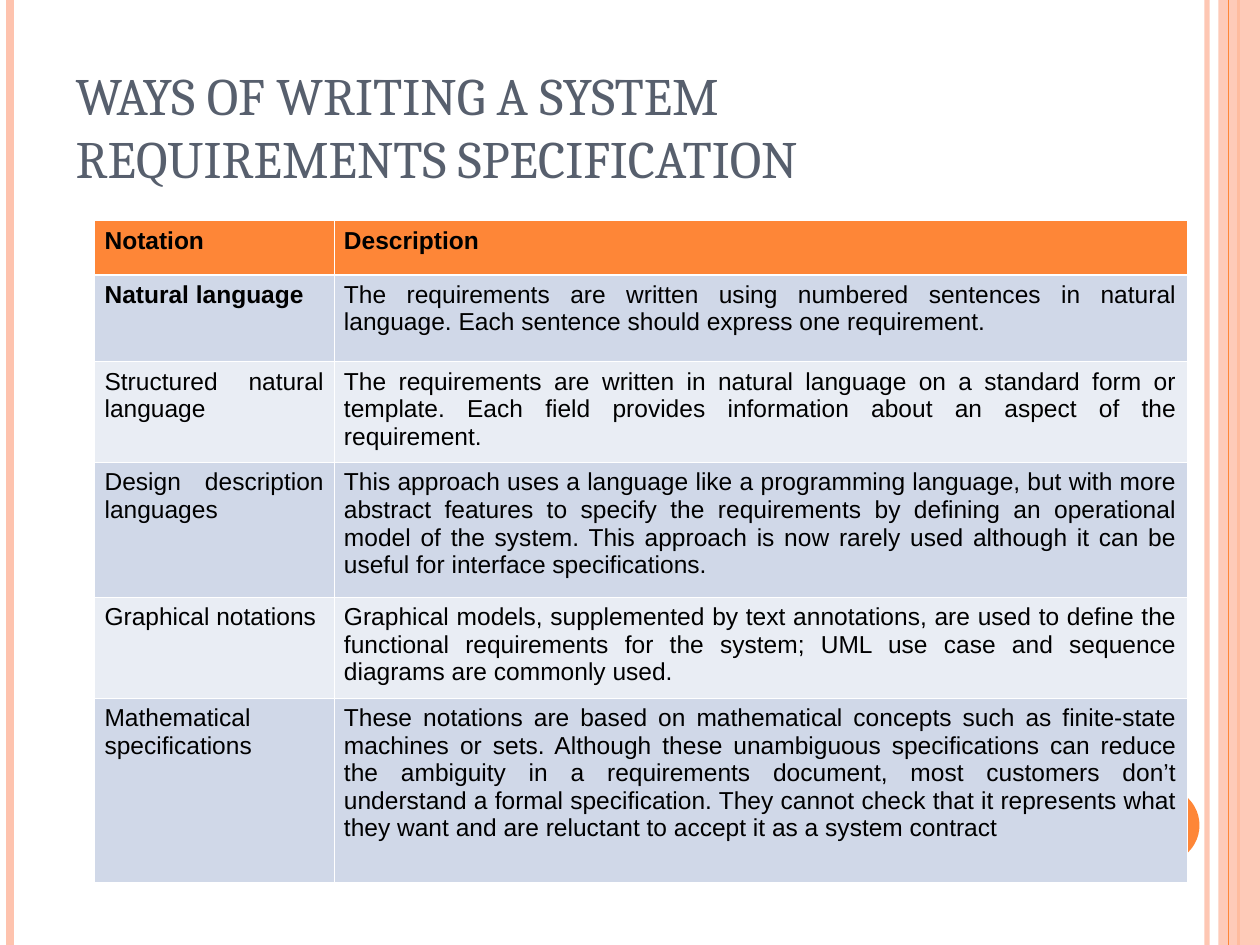
import pptx
import pptx.dml.color
import pptx.enum.shapes
import pptx.enum.text
import pptx.oxml
import pptx.oxml.ns
import pptx.util
from lxml import etree

Inches = pptx.util.Inches
Pt = pptx.util.Pt
qn = pptx.oxml.ns.qn
Align = pptx.enum.text.PP_ALIGN
Anchor = pptx.enum.text.MSO_ANCHOR
Shape = pptx.enum.shapes.MSO_SHAPE

ORANGE, PEACH, SLATE = "FE8637", "FEC3AE", "575F6D"
WHITE, BLACK = "FFFFFF", "000000"
BANDS = ["D0D8E8", "E9EDF4"]

ROWS = [
    ("Notation", "Description"),
    ("Natural language",
     "The requirements are written using numbered sentences in natural language. "
     "Each sentence should express one requirement."),
    ("Structured natural language ",
     "The requirements are written in natural language on a standard form or template. "
     "Each field provides information about an aspect of the requirement."),
    ("Design description languages",
     "This approach uses a language like a programming language, but with more abstract "
     "features to specify the requirements by defining an operational model of the system. "
     "This approach is now rarely used although it can be useful for interface specifications."),
    ("Graphical notations",
     "Graphical models, supplemented by text annotations, are used to define the functional "
     "requirements for the system; UML use case and sequence diagrams are commonly used."),
    ("Mathematical specifications",
     "These notations are based on mathematical concepts such as finite-state machines or sets. "
     "Although these unambiguous specifications can reduce the ambiguity in a requirements "
     "document, most customers don’t understand a formal specification. They cannot check that "
     "it represents what they want and are reluctant to accept it as a system contract"),
]
WIDTHS = [1.9, 6.77]
HEIGHTS = [0.43, 0.69, 0.8, 1.07, 0.8, 1.46]


def color(text):
    return pptx.dml.color.RGBColor.from_string(text)


class Deck:
    head, body = "Cambria", "Arial"

    def __init__(self):
        self.prs = pptx.Presentation()
        self.prs.slide_width, self.prs.slide_height = Inches(10), Inches(7.5)
        self.slide = self.prs.slides.add_slide(self.prs.slide_layouts[5])

    def fade(self, fill, alpha):
        tone = fill.find(".//" + qn("a:srgbClr"))
        etree.SubElement(tone, qn("a:alpha"), val=str(alpha * 1000))

    def font(self, para, name, size, tone, bold=False):
        font = para.font
        font.name, font.size, font.bold = name, Pt(size), bold
        font.color.rgb = color(tone)

    def title(self, text):
        box = self.slide.shapes.title
        box.left, box.top = Inches(0.5), Inches(0.3)
        box.width, box.height = Inches(8.17), Inches(1.25)
        frame = box.text_frame
        frame.text = text
        frame.word_wrap = True
        frame.auto_size = pptx.enum.text.MSO_AUTO_SIZE.NONE
        frame.vertical_anchor = Anchor.BOTTOM
        para = frame.paragraphs[0]
        para.alignment = Align.LEFT
        self.font(para, self.head, 30, SLATE)

    def stripe(self, x, tone, width, alpha=100):
        line = self.slide.shapes.add_connector(
            pptx.enum.shapes.MSO_CONNECTOR.STRAIGHT,
            Inches(x), 0, Inches(x), self.prs.slide_height)
        line.line.color.rgb = color(tone)
        line.line.width = Pt(width)
        props = line._element.spPr
        if alpha < 100:
            self.fade(props, alpha)
        etree.SubElement(props, qn("a:effectLst"))

    def shape(self, kind, x, y, w, h, tone, alpha=100):
        item = self.slide.shapes.add_shape(
            kind, Inches(x), Inches(y), Inches(w), Inches(h))
        item.shadow.inherit = False
        item.fill.solid()
        item.fill.fore_color.rgb = color(tone)
        item.line.fill.background()
        if alpha < 100:
            self.fade(item._element.spPr, alpha)

    def edge(self, cell, side, width):
        props = cell._tc.get_or_add_tcPr()
        line = etree.SubElement(props, qn("a:ln" + side), w=str(Pt(width)))
        fill = etree.SubElement(line, qn("a:solidFill"))
        etree.SubElement(fill, qn("a:srgbClr"), val=WHITE)

    def cell(self, cell, text, row, col):
        top = row == 0
        for side in "LRTB":
            thick = (row, side) in [(0, "B"), (1, "T")]
            self.edge(cell, side, 1.47 if thick else 0.45)
        cell.fill.solid()
        cell.fill.fore_color.rgb = color(ORANGE if top else BANDS[(row - 1) % 2])
        cell.margin_left = cell.margin_right = Inches(0.08)
        cell.margin_top = cell.margin_bottom = Inches(0.05)
        cell.text = text
        para = cell.text_frame.paragraphs[0]
        para.alignment = Align.LEFT if top and col == 0 else Align.JUSTIFY
        self.font(para, self.body, 14, BLACK, top or (row == 1 and col == 0))

    def table(self, x, y, rows, widths, heights):
        grid = self.slide.shapes.add_table(
            len(rows), len(widths), Inches(x), Inches(y),
            Inches(sum(widths)), Inches(sum(heights))).table
        for col, width in zip(grid.columns, widths):
            col.width = Inches(width)
        for row, height in zip(grid.rows, heights):
            row.height = Inches(height)
        for r, texts in enumerate(rows):
            for c, text in enumerate(texts):
                self.cell(grid.cell(r, c), text, r, c)


def main():
    deck = Deck()

    # Side stripes and page dot
    deck.stripe(9.58, PEACH, 3, 93)
    deck.stripe(0.08, PEACH, 4.5)
    deck.stripe(9.83, ORANGE, 1.5)
    deck.shape(Shape.RECTANGLE, 9.67, 0, 0.33, 7.5, PEACH, 87)
    deck.stripe(9.75, ORANGE, 0.75)
    deck.shape(Shape.OVAL, 8.92, 6.25, 0.6, 0.6, ORANGE)

    # Title and table of notations
    deck.title("WAYS OF WRITING A SYSTEM REQUIREMENTS SPECIFICATION")
    deck.table(0.75, 1.75, ROWS, WIDTHS, HEIGHTS)

    deck.prs.save("out.pptx")


if __name__ == "__main__":
    main()
